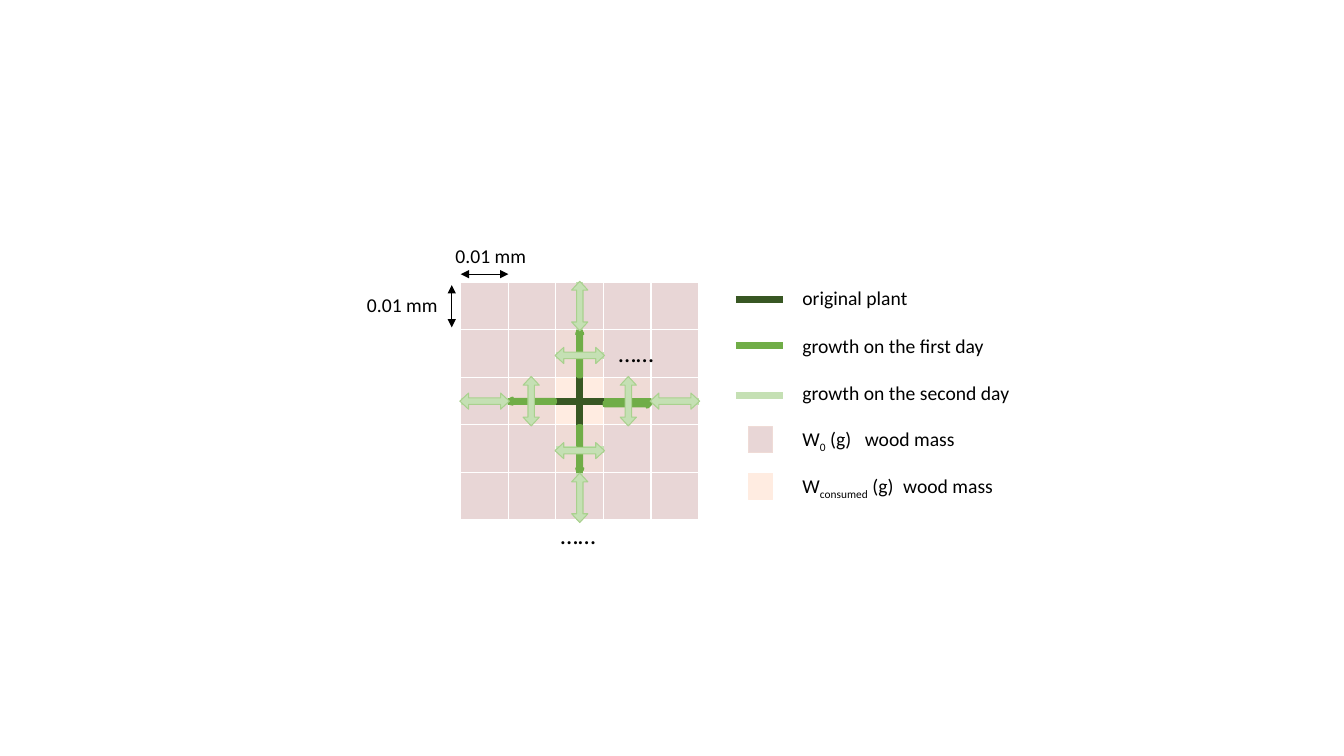
import lxml.etree
import pptx
import pptx.dml.color
import pptx.enum.shapes
import pptx.enum.text
import pptx.oxml.ns
import pptx.util

HUES = {
    "wood": "E8D6D6", "partly": "EFDBD6", "eaten": "FFECE1",
    "plant": "385723", "first": "70AD47", "second": "C5E0B4",
    "edge": "A9D18E", "core": "4472C4", "ink": "000000", "white": "FFFFFF",
}
COUNT = 5
CELL = 2.36 / COUNT
LEFT, TOP = 4.57, 2.8
KEY = 6.97
FORMS = pptx.enum.shapes.MSO_SHAPE
qn = pptx.oxml.ns.qn


def hue(name):
    """Return the named colour."""
    return pptx.dml.color.RGBColor.from_string(HUES[name])


def span(cells):
    """Turn a number of grid cells into a length."""
    return pptx.util.Inches(cells * CELL)


def spot(col, row):
    """Return the slide position of a grid point."""
    return pptx.util.Inches(LEFT + col * CELL), pptx.util.Inches(TOP + row * CELL)


def add_grid(shapes):
    """Draw the wood cells, shaded by distance from the centre."""
    frame = shapes.add_table(COUNT, COUNT, *spot(0, 0), span(COUNT), span(COUNT))
    table = frame.table
    table.first_row = table.horz_banding = False
    shades = ["eaten", "partly"]
    mid = COUNT // 2
    for i in range(COUNT):
        table.columns[i].width = table.rows[i].height = span(1)
        for j in range(COUNT):
            cell = table.cell(i, j)
            props = cell._tc.get_or_add_tcPr()
            for side in ("lnL", "lnR", "lnT", "lnB"):
                edge = lxml.etree.SubElement(props, qn("a:" + side), w="12700")
                fill = lxml.etree.SubElement(edge, qn("a:solidFill"))
                lxml.etree.SubElement(fill, qn("a:srgbClr"), val=HUES["white"])
            away = abs(i - mid) + abs(j - mid)
            cell.fill.solid()
            cell.fill.fore_color.rgb = hue(shades[away] if away < 2 else "wood")


def add_line(shapes, start, end, shade, width=5, heads=False):
    """Draw a straight line between two grid points."""
    kind = pptx.enum.shapes.MSO_CONNECTOR.STRAIGHT
    line = shapes.add_connector(kind, *spot(*start), *spot(*end))
    line.line.color.rgb = hue(shade)
    line.line.width = pptx.util.Pt(width)
    if heads:
        for tip in ("a:headEnd", "a:tailEnd"):
            lxml.etree.SubElement(line.line._ln, qn(tip), type="triangle")
    lxml.etree.SubElement(line._element.spPr, qn("a:effectLst"))


def add_form(shapes, form, mid, size, fill, edge, width, turn=0):
    """Draw a preset shape centred on a grid point."""
    wide, high = size
    place = spot(mid[0] - wide / 2, mid[1] - high / 2)
    shape = shapes.add_shape(form, *place, span(wide), span(high))
    shape.shadow.inherit = False
    shape.rotation = turn
    shape.fill.solid()
    shape.fill.fore_color.rgb = hue(fill)
    shape.line.color.rgb = hue(edge)
    shape.line.width = pptx.util.Pt(width)
    return shape


def add_text(shapes, place, size, lines, points=14, gap=0):
    """Write a text box with one paragraph per line."""
    box = shapes.add_textbox(*spot(*place), span(size[0]), span(size[1]))
    frame = box.text_frame
    frame.word_wrap = True
    frame.auto_size = pptx.enum.text.MSO_AUTO_SIZE.SHAPE_TO_FIT_TEXT
    frame.text = "\n".join(lines)
    for para in frame.paragraphs:
        para.space_after = pptx.util.Pt(gap)
        for run in para.runs:
            style(run, points)
    return frame.paragraphs[0]


def style(run, points):
    """Set the font of a run."""
    run.font.name = "Calibri"
    run.font.size = pptx.util.Pt(points)
    run.font.color.rgb = hue("ink")


def add_mass(shapes, row, low, stop, fill, edge):
    """Draw a wood mass key with its subscript label."""
    para = add_text(shapes, (KEY, row), (5.5, 0.72), ["W"])
    for words, base in ((low, "-25000"), (" (g)\twood mass", "0")):
        run = para.add_run()
        run.text = words
        style(run, 14)
        run._r.get_or_add_rPr().set("baseline", base)
    tabs = lxml.etree.SubElement(para._p.get_or_add_pPr(), qn("a:tabLst"))
    lxml.etree.SubElement(tabs, qn("a:tab"), pos=str(pptx.util.Inches(stop)), algn="l")
    add_form(shapes, FORMS.RECTANGLE, (6.3, row + 0.37), (0.51, 0.55), fill, edge, 1)


def add_growth(shapes):
    """Draw the plant and its growth over two days."""
    group = shapes.add_group_shape().shapes
    shades = ["second", "first", "plant", "first", "second"]
    for i, shade in enumerate(shades):
        add_line(group, (i, 2.5), (i + 1, 2.5), shade)
        add_line(group, (2.5, i), (2.5, i + 1), shade)
    for row in (1.55, 3.52):
        add_line(shapes, (2, row), (3, row), "second")
    for mid, turn in (((3.5, 2.56), 0), ((2.5, 1.5), 270),
                      ((1.5, 2.5), 180), ((2.5, 3.5), 90)):
        add_form(shapes, FORMS.RIGHT_ARROW, mid, (0.95, 0.11), "core", "first", 3, turn)
    flat = [(0.5, 2.5), (4.5, 2.5), (2.5, 1.54), (2.5, 3.54)]
    tall = [(3.52, 2.5), (2.5, 4.53), (1.48, 2.5), (2.5, 0.5)]
    for mids, turn in ((flat, 0), (tall, 90)):
        for mid in mids:
            arrow = add_form(shapes, FORMS.LEFT_RIGHT_ARROW, mid, (1.04, 0.34),
                             "second", "edge", 0, turn)
            arrow.adjustments[0], arrow.adjustments[1] = 0.4, 0.54


def add_scale(shapes):
    """Mark the width and height of one cell."""
    add_line(shapes, (0, -0.17), (1, -0.17), "ink", 0.5, True)
    add_line(shapes, (-0.19, 0.06), (-0.19, 0.95), "ink", 0.5, True)
    for place in ((-0.32, -0.91), (-2.18, 0.13)):
        add_text(shapes, place, (2.75, 0.72), ["0.01 mm"])


def add_key(shapes):
    """Explain the line and cell colours."""
    names = ["original plant", "growth on the first day", "growth on the second day"]
    add_text(shapes, (KEY, -0.02), (5.38, 2.71), names, gap=17)
    for row, shade in ((0.36, "plant"), (1.32, "first"), (2.39, "second")):
        add_line(shapes, (5.78, row), (6.78, row), shade)
    add_mass(shapes, 2.94, "0", 0.62, "wood", "partly")
    add_mass(shapes, 3.92, "consumed", 1, "eaten", "eaten")


def main():
    """Build the slide and save it."""
    deck = pptx.Presentation()
    deck.slide_width = pptx.util.Inches(13.33)
    deck.slide_height = pptx.util.Inches(7.5)
    shapes = deck.slides.add_slide(deck.slide_layouts[6]).shapes
    add_grid(shapes)
    add_growth(shapes)
    add_scale(shapes)
    add_key(shapes)
    for place in ((3.11, 1.06), (1.89, 4.87)):
        add_text(shapes, place, (4.39, 0.85), ["……"], 18)
    deck.save("out.pptx")


if __name__ == "__main__":
    main()
